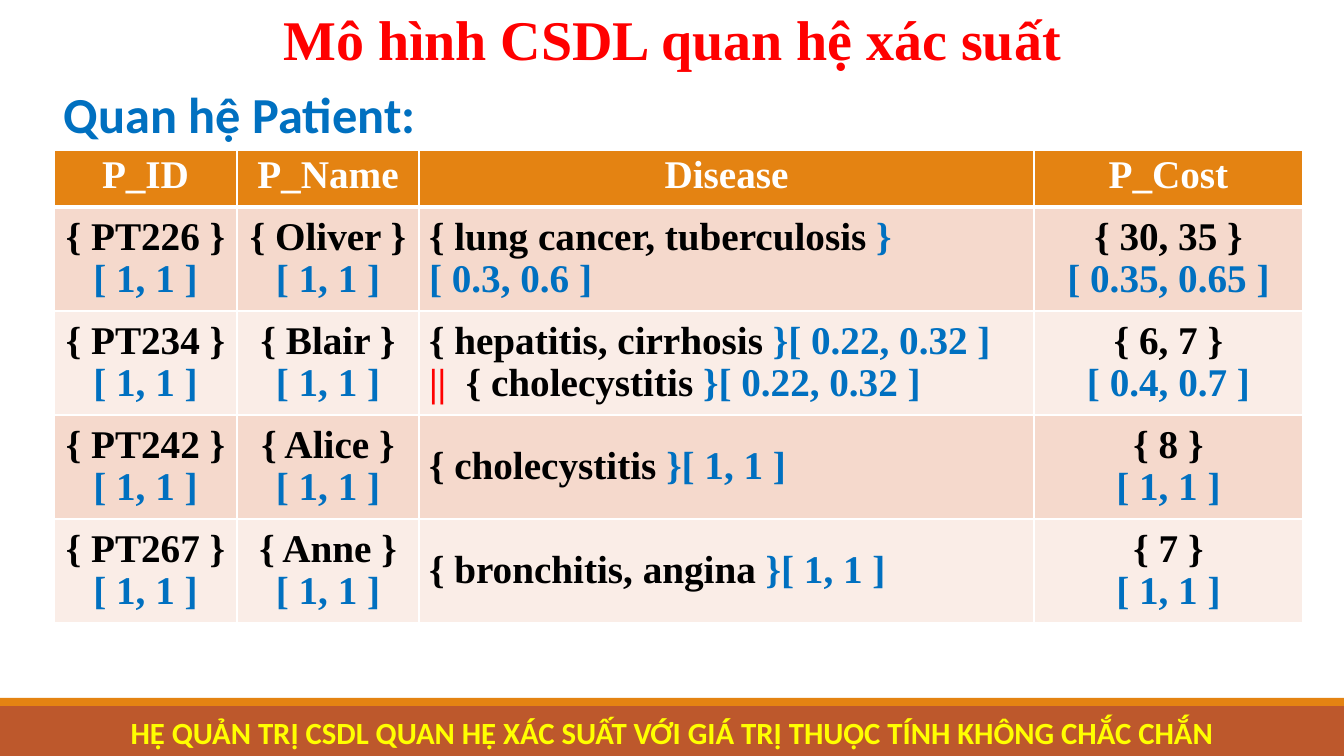
from pptx import Presentation, util as u
from pptx.dml.color import RGBColor
from pptx.enum import shapes, text
from pptx.oxml import parse_xml
from pptx.oxml.ns import nsdecls

PX = 914400 / 100.8
WIDTH, HEIGHT = 1344, 756
SERIF, SANS = "Times New Roman", "Calibri"
WHITE, BLACK, BLUE, RED, YELLOW = "FFFFFF", "000000", "0070C0", "FF0000", "FFFF00"
ORANGE, BRICK = "E48312", "BD582C"
ROW_FILLS = ("F5D9CC", "FAEDE7")

BANDS = [(0, 706, WIDTH, 50, BRICK), (0, 698, WIDTH, 8, ORANGE)]
CAPTIONS = [
    ("Mô hình CSDL quan hệ xác suất", (0, 0, WIDTH, 78), 40, SERIF, RED, "CENTER"),
    ("Quan hệ Patient:", (54, 78, 1290, 71), 36, SANS, BLUE, "LEFT"),
    ("HỆ QUẢN TRỊ CSDL QUAN HỆ XÁC SUẤT VỚI GIÁ TRỊ THUỘC TÍNH KHÔNG CHẮC CHẮN",
     (0, 709, WIDTH, 47), 22, SANS, YELLOW, "CENTER"),
]

TABLE_LEFT, TABLE_TOP = 54, 150
COLUMNS = [("P_ID", 183), ("P_Name", 182), ("Disease", 615), ("P_Cost", 269)]
HEADER_HEIGHT, ROW_HEIGHT = 57, 104
CERTAIN = "[ 1, 1 ]"
PATIENTS = [
    ("{ PT226 }", "{ Oliver }",
     [[("{ lung cancer, tuberculosis ", BLACK), ("}", BLUE)], [("[ 0.3, 0.6 ]", BLUE)]],
     "{ 30, 35 }", "[ 0.35, 0.65 ]"),
    ("{ PT234 }", "{ Blair }",
     [[("{ hepatitis, cirrhosis ", BLACK), ("}[ 0.22, 0.32 ]", BLUE)],
      [("|| ", RED), (" { cholecystitis ", BLACK), ("}[ 0.22, 0.32 ]", BLUE)]],
     "{ 6, 7 }", "[ 0.4, 0.7 ]"),
    ("{ PT242 }", "{ Alice }",
     [[("{ cholecystitis ", BLACK), ("}[ 1, 1 ]", BLUE)]],
     "{ 8 }", CERTAIN),
    ("{ PT267 }", "{ Anne }",
     [[("{ bronchitis, angina ", BLACK), ("}[ 1, 1 ]", BLUE)]],
     "{ 7 }", CERTAIN),
]


def px(length):
    return u.Emu(round(length * PX))


def paint(target, colour):
    target.fill.solid()
    target.fill.fore_color.rgb = RGBColor.from_string(colour)


def write(frame, lines, size, face, align, spacing=1.0):
    for index, line in enumerate(lines):
        paragraph = frame.paragraphs[0] if index == 0 else frame.add_paragraph()
        paragraph.alignment = getattr(text.PP_ALIGN, align)
        paragraph.line_spacing = spacing
        paragraph.font.size = u.Pt(size)
        paragraph.font.name = face
        paragraph.font.bold = True
        for words, colour in line:
            run = paragraph.add_run()
            run.text = words
            run.font.color.rgb = RGBColor.from_string(colour)


def border(cell, widths):
    properties = cell._tc.get_or_add_tcPr()
    for position, (side, points) in enumerate(widths.items()):
        properties.insert(position, parse_xml(
            f'<a:{side} {nsdecls("a")} w="{u.Pt(points)}"><a:solidFill>'
            f'<a:srgbClr val="{WHITE}"/></a:solidFill></a:{side}>'))


def valued(value, interval):
    return [[(value, BLACK)], [(interval, BLUE)]]


def add_patients(slide):
    widths = [width for _, width in COLUMNS]
    heights = [HEADER_HEIGHT] + [ROW_HEIGHT] * len(PATIENTS)
    table = slide.shapes.add_table(
        len(heights), len(widths), px(TABLE_LEFT), px(TABLE_TOP),
        px(sum(widths)), px(sum(heights))).table
    for column, width in zip(table.columns, widths):
        column.width = px(width)
    for row, height in zip(table.rows, heights):
        row.height = px(height)

    grid = [[[[(name, WHITE)]] for name, _ in COLUMNS]]
    for pid, name, disease, cost, interval in PATIENTS:
        grid.append([valued(pid, CERTAIN), valued(name, CERTAIN), disease,
                     valued(cost, interval)])
    for r, row in enumerate(grid):
        for c, lines in enumerate(row):
            cell = table.cell(r, c)
            paint(cell, ROW_FILLS[(r - 1) % 2] if r else ORANGE)
            border(cell, {"lnL": 1, "lnR": 1, "lnT": 3 if r == 1 else 1,
                          "lnB": 1 if r else 3})
            if r:
                cell.vertical_anchor = text.MSO_ANCHOR.MIDDLE
            align = "LEFT" if r and COLUMNS[c][0] == "Disease" else "CENTER"
            write(cell.text_frame, lines, 28, SERIF, align, 0.96)


def main():
    """Build the slide of the probabilistic Patient relation."""
    deck = Presentation()
    deck.slide_width, deck.slide_height = px(WIDTH), px(HEIGHT)
    slide = deck.slides.add_slide(deck.slide_layouts[6])
    for *box, colour in BANDS:
        band = slide.shapes.add_shape(shapes.MSO_SHAPE.RECTANGLE, *map(px, box))
        band.shadow.inherit = False
        band.line.fill.background()
        paint(band, colour)
    for words, box, size, face, colour, align in CAPTIONS:
        frame = slide.shapes.add_textbox(*map(px, box)).text_frame
        frame.word_wrap = True
        write(frame, [[(words, colour)]], size, face, align)
    add_patients(slide)
    deck.save("out.pptx")


if __name__ == "__main__":
    main()
